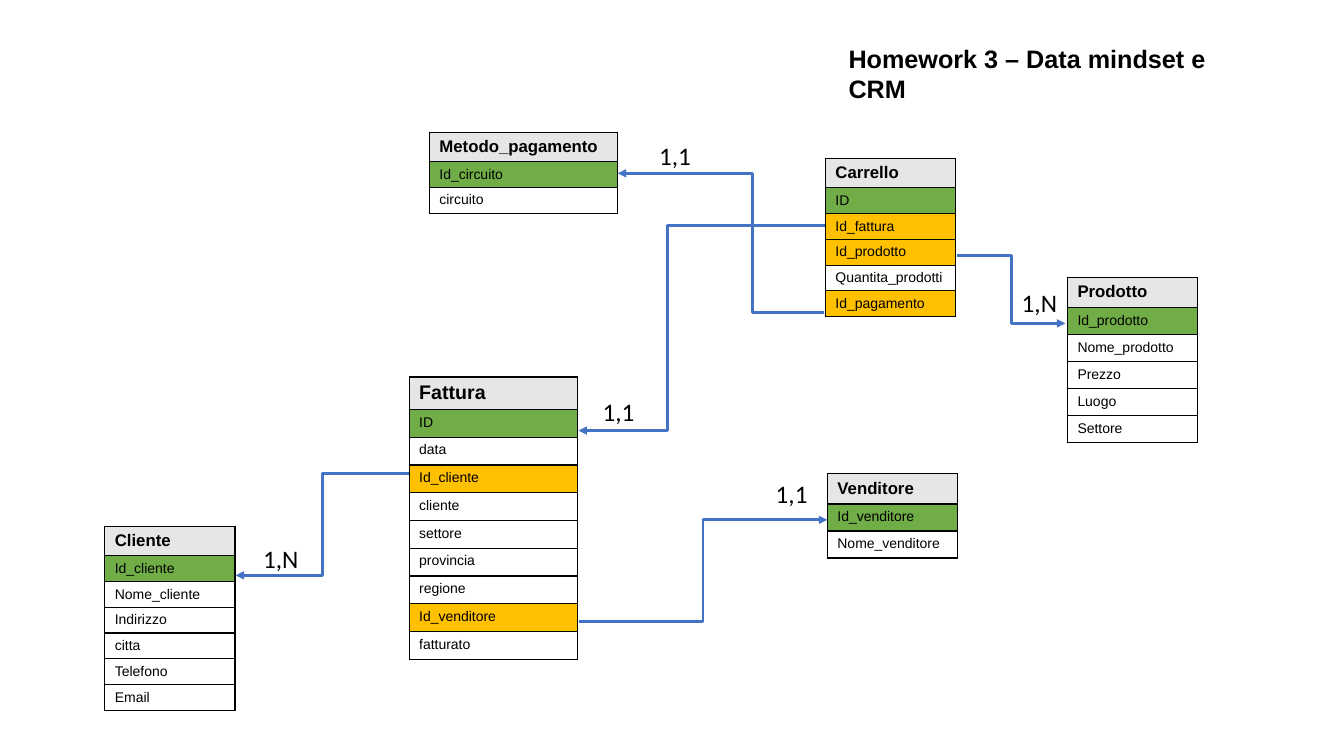
from pptx import Presentation
from pptx.dml.color import RGBColor as Rgb
from pptx.enum.shapes import MSO_CONNECTOR as Link
from pptx.enum.text import MSO_ANCHOR as Anchor, MSO_AUTO_SIZE as Fit, PP_ALIGN as Align
from pptx.oxml.ns import qn
from pptx.util import Cm, Pt
from lxml.etree import SubElement as Sub

HUES = {"ink": "000000", "head": "E7E6E6", "key": "70AD47",
        "ref": "FFC000", "plain": "FFFFFF", "link": "4472C4"}


def write(para, text, size, font="Arial", bold=False):
    """Add one black run to a paragraph."""
    run = para.add_run()
    run.text = text
    run.font.size, run.font.name, run.font.bold = Pt(size), font, bold
    run.font.color.rgb = Rgb.from_string(HUES["ink"])


def edge(cell):
    """Draw a thin black border on all sides of a cell."""
    props = cell._tc.get_or_add_tcPr()
    for side in ("lnL", "lnR", "lnT", "lnB"):
        line = Sub(props, qn("a:" + side), w=str(Pt(1)))
        fill = Sub(line, qn("a:solidFill"))
        Sub(fill, qn("a:srgbClr"), val=HUES["ink"])


deck = Presentation()
deck.slide_width, deck.slide_height = Cm(33.87), Cm(19.05)
slide = deck.slides.add_slide(deck.slide_layouts[5])
shapes = slide.shapes

# Title
title = shapes.title
title.left, title.top, title.width, title.height = Cm(21.13), Cm(0.97), Cm(10.72), Cm(1.02)
frame = title.text_frame
frame.word_wrap, frame.auto_size = True, Fit.NONE
frame.vertical_anchor = Anchor.TOP
frame.paragraphs[0].alignment = Align.LEFT
write(frame.paragraphs[0], "Homework 3 – Data mindset e CRM", 18, bold=True)

# Entities: left, top, width, head height, row height, head size, name, fields
# The first field is the key; later fields named Id_ refer to other entities
ents = [
    (2.64, 13.26, 3.28, 0.74, 0.65, 12, "Cliente",
     ["Id_cliente", "Nome_cliente", "Indirizzo", "citta", "Telefono", "Email"]),
    (10.31, 9.5, 4.24, 0.82, 0.7, 14, "Fattura",
     ["ID", "data", "Id_cliente", "cliente", "settore", "provincia",
      "regione", "Id_venditore", "fatturato"]),
    (10.82, 3.33, 4.75, 0.74, 0.65, 12, "Metodo_pagamento",
     ["Id_circuito", "circuito"]),
    (20.8, 3.99, 3.28, 0.74, 0.65, 12, "Carrello",
     ["ID", "Id_fattura", "Id_prodotto", "Quantita_prodotti", "Id_pagamento"]),
    (26.9, 6.99, 3.28, 0.76, 0.68, 12, "Prodotto",
     ["Id_prodotto", "Nome_prodotto", "Prezzo", "Luogo", "Settore"]),
    (20.85, 11.94, 3.28, 0.76, 0.68, 12, "Venditore",
     ["Id_venditore", "Nome_venditore"]),
]
for left, top, width, head, step, size, name, fields in ents:
    high = head + step * len(fields)
    table = shapes.add_table(len(fields) + 1, 1, Cm(left), Cm(top), Cm(width), Cm(high)).table
    table.horz_banding = False
    for row, text in enumerate([name] + fields):
        table.rows[row].height = Cm(step if row else head)
        cell = table.cell(row, 0)
        if row < 2:
            hue = ("head", "key")[row]
        else:
            hue = "ref" if text.startswith("Id_") else "plain"
        edge(cell)
        cell.fill.solid()
        cell.fill.fore_color.rgb = Rgb.from_string(HUES[hue])
        write(cell.text_frame.paragraphs[0], text, 10 if row else size, bold=row == 0)

# Relations: start x, y, end x, y, place of the bend in percent
links = [
    (14.58, 15.67, 20.85, 13.1, 50),
    (20.8, 5.69, 14.58, 10.85, 64),
    (20.78, 7.87, 15.57, 4.37, 35),
    (10.31, 11.94, 5.94, 14.5, 50),
    (24.13, 6.43, 26.85, 8.15, 50),
]
for *ends, bend in links:
    link = shapes.add_connector(Link.ELBOW, *map(Cm, ends))
    link.line.width = Pt(2)
    link.line.color.rgb = Rgb.from_string(HUES["link"])
    Sub(link.line._get_or_add_ln(), qn("a:tailEnd"), type="triangle")
    props = link._element.spPr
    Sub(props, qn("a:effectLst"))
    geom = props.find(qn("a:prstGeom"))
    guides = geom.find(qn("a:avLst"))
    if guides is None:
        guides = Sub(geom, qn("a:avLst"))
    Sub(guides, qn("a:gd"), name="adj1", fmla=f"val {bend * 1000}")

# Cardinalities
marks = [
    (19.3, 11.94, "1,1"), (6.38, 13.56, "1,N"), (16.36, 3.4, "1,1"),
    (25.5, 7.11, "1,N"), (14.94, 9.86, "1,1"),
]
for left, top, text in marks:
    wide = 1.42 if text == "1,N" else 1.32
    box = shapes.add_textbox(Cm(left), Cm(top), Cm(wide), Cm(1.02))
    box.text_frame.word_wrap = False
    box.text_frame.auto_size = Fit.SHAPE_TO_FIT_TEXT
    write(box.text_frame.paragraphs[0], text, 18, "Calibri")

deck.save("out.pptx")
